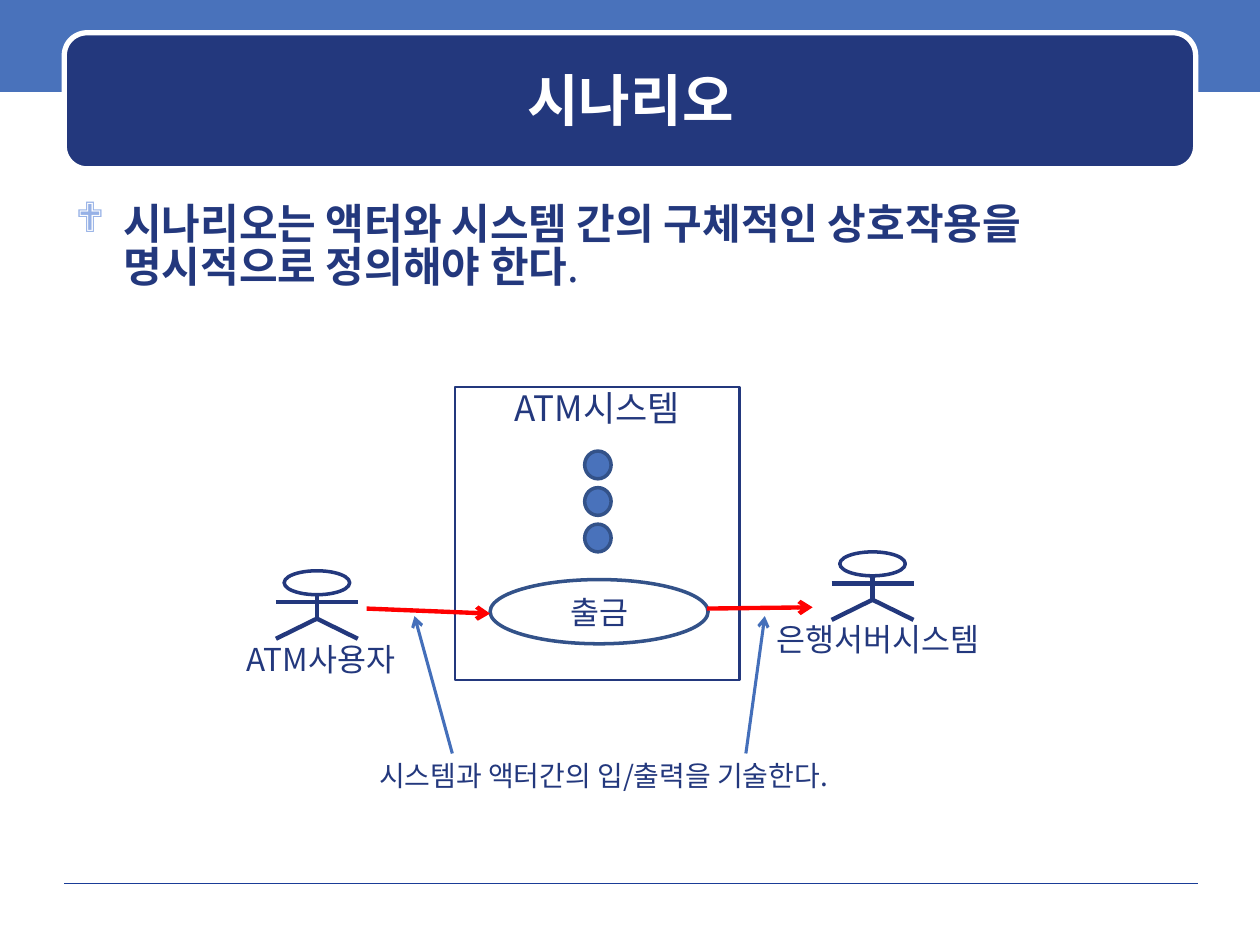
from lxml import etree
from pptx import Presentation
from pptx.dml.color import RGBColor
from pptx.enum.shapes import MSO_CONNECTOR, MSO_SHAPE
from pptx.enum.text import MSO_ANCHOR, PP_ALIGN
from pptx.oxml.ns import qn
from pptx.util import Inches, Pt

RECT, ROUND, OVAL = MSO_SHAPE.RECTANGLE, MSO_SHAPE.ROUNDED_RECTANGLE, MSO_SHAPE.OVAL
STRAIGHT = MSO_CONNECTOR.STRAIGHT
TOP, MIDDLE = MSO_ANCHOR.TOP, MSO_ANCHOR.MIDDLE
LEFT, CENTER = PP_ALIGN.LEFT, PP_ALIGN.CENTER

NAVY = RGBColor(0x23, 0x38, 0x7D)
BLUE = RGBColor(0x49, 0x72, 0xBB)
RIM = RGBColor(0x33, 0x52, 0x89)
POINTER = RGBColor(0x44, 0x6F, 0xBA)
RULE = RGBColor(0x1A, 0x3D, 0x97)
RED = RGBColor(0xFF, 0x00, 0x00)
WHITE = RGBColor(0xFF, 0xFF, 0xFF)
BULLET_COLOR = "96B1E6"
FONT = "Noto Sans CJK KR"
WIDTH, HEIGHT = 10, 7.5
TIGHT = 0.85  # line spacing of text that hangs from the top

# Content: text, box, format
TITLE = "시나리오"
STATEMENT = [("시나리오는 액터와 시스템 간의 구체적인 상호작용을 명시적으로 정의해야 한다", True),
             (".", False)]
SYSTEM = "ATM시스템"
USE_CASE = "출금"
ACTORS = [  # name, figure corner, label box
    ("ATM사용자", (2.19, 4.53), (1.8, 5.08, 1.49, 0.4)),
    ("은행서버시스템", (6.6, 4.38), (5.99, 4.92, 1.96, 0.4)),
]
CAPTION = "시스템과 액터간의 입/출력을 기술한다."
ARROWS = [  # start, end, colour, width
    ((2.91, 4.83), (3.89, 4.87), RED, 2.5),
    ((5.61, 4.83), (6.45, 4.82), RED, 2.5),
    ((3.59, 5.98), (3.29, 4.89), POINTER, 1.75),
    ((5.92, 5.98), (6.07, 4.89), POINTER, 1.75),
]

# Stick figure, measured from its top left corner
FIGURE_W, HEAD_W, HEAD_H = 0.65, 0.52, 0.19
ARMS_Y, HIP_Y, FEET_Y = 0.25, 0.38, 0.54
DOT_COUNT, DOT_TOP, DOT_STEP = 3, 3.58, 0.29

deck = Presentation()
deck.slide_width, deck.slide_height = Inches(WIDTH), Inches(HEIGHT)
page = deck.slides.add_slide(deck.slide_layouts[6])


def add_shape(kind, box, fill=None, line=None, width=1):
    shape = page.shapes.add_shape(kind, *map(Inches, box))
    shape.shadow.inherit = False
    if fill is None:
        shape.fill.background()
    else:
        shape.fill.solid()
        shape.fill.fore_color.rgb = fill
    if line is None:
        shape.line.fill.background()
    else:
        shape.line.color.rgb = line
        shape.line.width = Pt(width)
    return shape


def add_line(start, end, color, width, arrow=False):
    line = page.shapes.add_connector(STRAIGHT, *map(Inches, start + end))
    line.line.color.rgb = color
    line.line.width = Pt(width)
    if arrow:
        etree.SubElement(line.line._get_or_add_ln(), qn("a:tailEnd"), type="arrow")
    etree.SubElement(line._element.spPr, qn("a:effectLst"))


def write(shape, spans, size, color=NAVY, anchor=MIDDLE, align=CENTER, wrap=True, side=0.1):
    frame = shape.text_frame
    settings = {"word_wrap": wrap, "vertical_anchor": anchor,
                "margin_left": Inches(side), "margin_right": Inches(side),
                "margin_top": Inches(0.05), "margin_bottom": Inches(0.05)}
    for name, value in settings.items():
        setattr(frame, name, value)
    para = frame.paragraphs[0]
    para.alignment = align
    if anchor == TOP:
        para.line_spacing = TIGHT
    for text, bold in spans:
        span = para.add_run()
        span.text = text
        span.font.color.rgb = color
        for name, value in {"size": Pt(size), "bold": bold, "name": FONT}.items():
            setattr(span.font, name, value)
        etree.SubElement(span._r.get_or_add_rPr(), qn("a:ea"), typeface=FONT)
    return para


def add_text(box, spans, size, **format_values):
    return write(page.shapes.add_textbox(*map(Inches, box)), spans, size, **format_values)


def add_bullet(para, char, indent):
    props = para._p.get_or_add_pPr()
    props.set("marL", str(Inches(indent)))
    props.set("indent", str(-Inches(indent)))
    color = etree.SubElement(props, qn("a:buClr"))
    etree.SubElement(color, qn("a:srgbClr"), val=BULLET_COLOR)
    etree.SubElement(props, qn("a:buFont"), typeface="Wingdings")
    etree.SubElement(props, qn("a:buChar"), char=char)


def add_figure(left, top):
    middle, right = left + FIGURE_W / 2, left + FIGURE_W
    add_shape(OVAL, (middle - HEAD_W / 2, top, HEAD_W, HEAD_H), line=NAVY, width=2)
    hip = (middle, top + HIP_Y)
    limbs = [((middle, top + HEAD_H), hip),
             ((left, top + ARMS_Y), (right, top + ARMS_Y)),
             (hip, (left, top + FEET_Y)),
             (hip, (right, top + FEET_Y))]
    for start, end in limbs:
        add_line(start, end, NAVY, 2.5)


# Frame of the page and title
add_shape(RECT, (0, 0, WIDTH, 0.73), fill=BLUE)
add_line((0.51, 7.01), (9.51, 7.01), RULE, 0.25)
panel = add_shape(ROUND, (0.51, 0.26, 8.98, 1.08), fill=NAVY, line=WHITE, width=3)
add_text((0.6, 0.35, 8.81, 0.88), [(TITLE, True)], 32, color=WHITE)

# Statement
statement = add_text((0.5, 1.58, 9, 1), STATEMENT, 24, anchor=TOP, align=LEFT)
add_bullet(statement, "❖", 0.38)

# Actors
for name, corner, label_box in ACTORS:
    add_figure(*corner)
    add_text(label_box, [(name, False)], 18, anchor=TOP, wrap=False)

# System with its use case and dots
system = add_shape(RECT, (3.61, 3.07, 2.26, 2.33), line=NAVY, width=1.25)
write(system, [(SYSTEM, False)], 20, anchor=TOP)
use_case = add_shape(OVAL, (3.89, 4.6, 1.73, 0.51), line=RIM, width=2)
write(use_case, [(USE_CASE, False)], 18, side=0)
for row in range(DOT_COUNT):
    add_shape(OVAL, (4.64, DOT_TOP + row * DOT_STEP, 0.21, 0.22), fill=BLUE, line=RIM, width=2)

# Messages and caption
add_text((2.53, 5.97, 4.52, 0.37), [(CAPTION, False)], 16)
for start, end, color, width in ARROWS:
    add_line(start, end, color, width, arrow=True)

deck.save("out.pptx")
